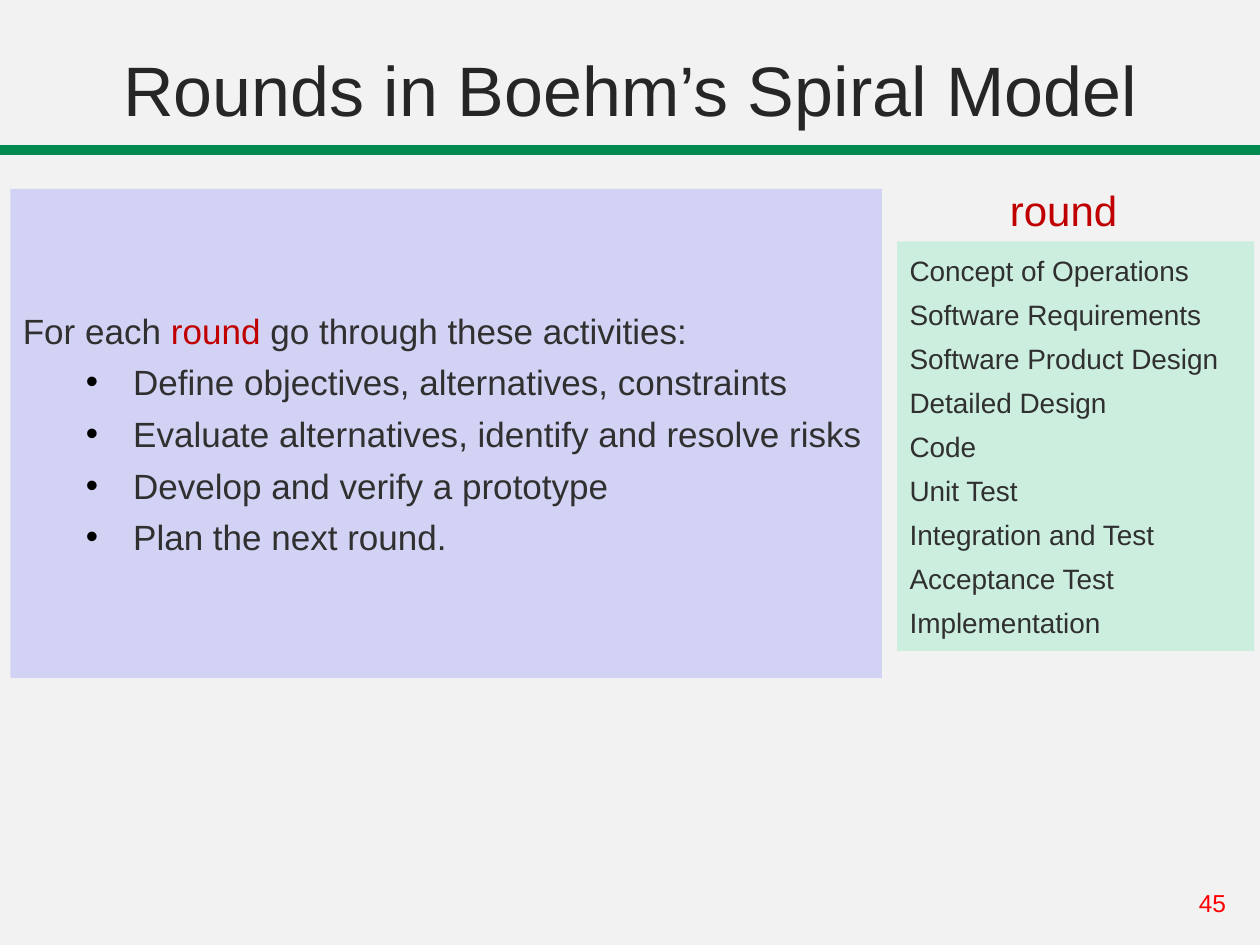
from lxml.etree import SubElement
from pptx import Presentation
from pptx.dml.color import RGBColor
from pptx.enum.shapes import MSO_SHAPE as Shape
from pptx.enum.text import MSO_ANCHOR as Anchor, MSO_AUTO_SIZE as AutoSize, PP_ALIGN as Align
from pptx.oxml.ns import qn
from pptx.util import Pt

COLORS = {
    "background": "F2F2F2", "rule": "018952", "title": "262626", "text": "303030",
    "accent": "C00000", "number": "FF0000", "bullet": "000000",
    "rounds": "CCEEDF", "activities": "D2D2F4",
}
ROUNDS = [
    "Concept of Operations", "Software Requirements", "Software Product Design",
    "Detailed Design", "Code", "Unit Test", "Integration and Test",
    "Acceptance Test", "Implementation",
]
ACTIVITIES = [
    "Define objectives, alternatives, constraints",
    "Evaluate alternatives, identify and resolve risks",
    "Develop and verify a prototype",
    "Plan the next round.",
]
HANGING = 27


def rgb(name):
    return RGBColor.from_string(COLORS[name])


def add_run(paragraph, text, size, color="text"):
    run = paragraph.add_run()
    run.text = text
    run.font.color.rgb = rgb(color)
    for name, value in {"name": "Arial", "size": Pt(size)}.items():
        setattr(run.font, name, value)


def set_frame(frame, anchor):
    settings = {
        "word_wrap": True, "auto_size": AutoSize.NONE, "vertical_anchor": anchor,
        "margin_left": Pt(7.2), "margin_right": Pt(7.2),
        "margin_top": Pt(3.6), "margin_bottom": Pt(3.6),
    }
    for name, value in settings.items():
        setattr(frame, name, value)


def add_panel(slide, box, color):
    panel = slide.shapes.add_shape(Shape.RECTANGLE, *map(Pt, box))
    panel.shadow.inherit = False
    panel.fill.solid()
    panel.fill.fore_color.rgb = rgb(color)
    panel.line.fill.background()
    set_frame(panel.text_frame, Anchor.MIDDLE)
    return panel


def add_label(slide, box, text, size, color):
    frame = slide.shapes.add_textbox(*map(Pt, box)).text_frame
    set_frame(frame, Anchor.TOP)
    add_run(frame.paragraphs[0], text, size, color)


def add_item(frame, index, space_before, indent=HANGING):
    """Return the paragraph at index with a hanging indent, adding it after the first."""
    paragraph = frame.add_paragraph() if index else frame.paragraphs[0]
    paragraph.alignment = Align.LEFT
    paragraph.space_before = Pt(space_before)
    properties = paragraph._p.get_or_add_pPr()
    properties.set("marL", str(Pt(indent)))
    properties.set("indent", str(-Pt(HANGING)))
    return paragraph


def add_bullet(paragraph):
    properties = paragraph._p.get_or_add_pPr()
    color = SubElement(properties, qn("a:buClr"))
    SubElement(color, qn("a:srgbClr"), val=COLORS["bullet"])
    SubElement(properties, qn("a:buFont"), typeface="Arial")
    SubElement(properties, qn("a:buChar"), char="•")


def set_title(slide, text):
    title = slide.shapes.title
    box = {"left": 0, "top": 0, "width": 720, "height": 78}
    for name, value in box.items():
        setattr(title, name, Pt(value))
    set_frame(title.text_frame, Anchor.BOTTOM)
    heading = title.text_frame.paragraphs[0]
    heading.alignment = Align.CENTER
    add_run(heading, text, 40, "title")


def add_rounds(slide):
    frame = add_panel(slide, (512.64, 138, 204, 234), "rounds").text_frame
    for index, text in enumerate(ROUNDS):
        add_run(add_item(frame, index, 6), text, 16)


def add_activities(slide):
    frame = add_panel(slide, (6, 108, 498, 279.5), "activities").text_frame
    lead = add_item(frame, 0, 6)
    add_run(lead, "For each ", 20)
    add_run(lead, "round", 20, "accent")
    add_run(lead, " go through these activities:", 20)
    for index, text in enumerate(ACTIVITIES, 1):
        activity = add_item(frame, index, 5.5, indent=63)
        activity.level = 1
        add_bullet(activity)
        add_run(activity, text, 20)


def main():
    deck = Presentation()
    deck.slide_width, deck.slide_height = Pt(720), Pt(540)
    slide = deck.slides.add_slide(deck.slide_layouts[5])
    slide.background.fill.solid()
    slide.background.fill.fore_color.rgb = rgb("background")

    rule = add_panel(slide, (0, 84, 720, 3.6), "rule")
    rule.line.color.rgb = rgb("rule")
    rule.line.width = Pt(1.75)
    add_label(slide, (678, 504, 42, 24.25), "45", 14, "number")
    set_title(slide, "Rounds in Boehm’s Spiral Model")
    add_rounds(slide)
    add_activities(slide)
    add_label(slide, (570, 102, 108, 36), "round", 24, "accent")
    deck.save("out.pptx")


if __name__ == "__main__":
    main()
